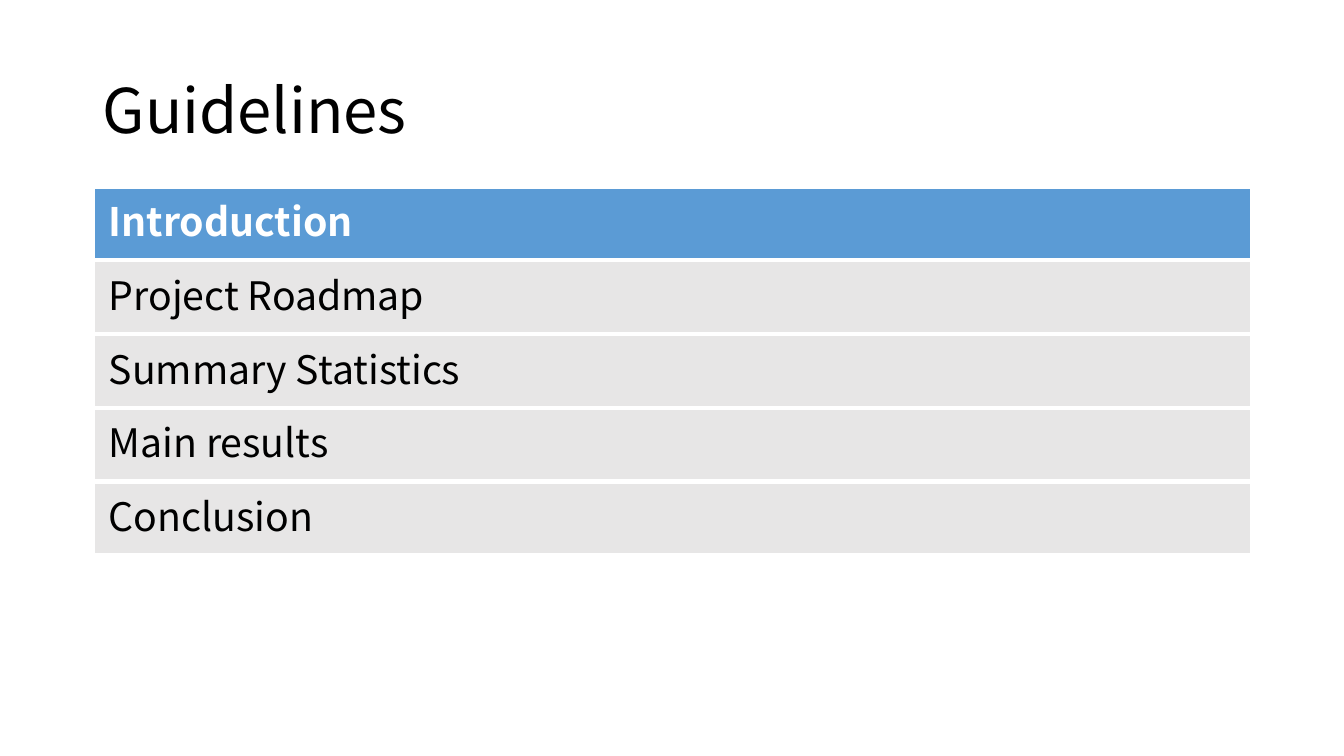
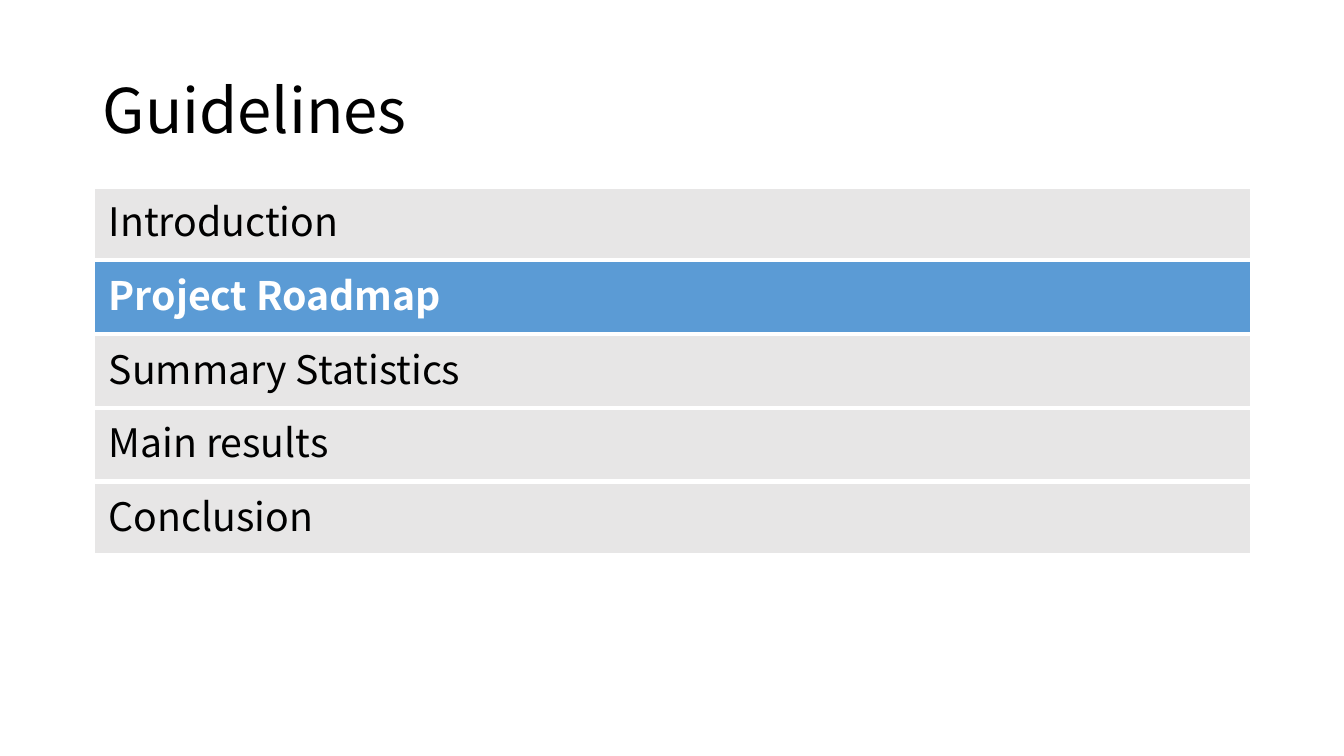
"""Build two agenda slides, each with its current topic highlighted."""
from pptx import Presentation
from pptx.dml.color import RGBColor as Color
from pptx.enum.shapes import MSO_SHAPE as Shape
from pptx.enum.text import MSO_ANCHOR as Anchor, PP_ALIGN as Align
from pptx.util import Inches, Pt

TITLE = "Guidelines"
TOPICS = ["Introduction", "Project Roadmap", "Summary Statistics",
          "Main results", "Conclusion"]
ACTIVE = ["Introduction", "Project Roadmap"]

BLUE = Color(0x5B, 0x9B, 0xD5)
GRAY = Color(0xE7, 0xE6, 0xE6)
WHITE = Color(0xFF, 0xFF, 0xFF)
BLACK = Color(0, 0, 0)
FONT = "Noto Sans CJK SC"

WIDE, HIGH = 13.33, 7.5
LEFT, SPAN = 0.92, 11.5
HEAD, TOP, BASE = 0.4, 1.85, 5.51
ROW = (BASE - TOP) / len(TOPICS)

FRAME = {"word_wrap": True, "vertical_anchor": Anchor.MIDDLE}
INSET = {"margin_left": Inches(0.16), "margin_top": Inches(0.16),
         "margin_right": 0, "margin_bottom": Inches(0.15)}
PARA = {"alignment": Align.LEFT, "line_spacing": 0.9}


def assign(obj, values):
    for name, value in values.items():
        setattr(obj, name, value)


def write(shape, text, size, color, bold=False, inset=None):
    frame = shape.text_frame
    assign(frame, FRAME | (inset or {}))
    para = frame.paragraphs[0]
    assign(para, PARA)
    run = para.add_run()
    run.text = text
    assign(run.font, {"name": FONT, "size": Pt(size), "bold": bold})
    run.font.color.rgb = color


def add_title(slide):
    box = slide.shapes.add_textbox(
        *map(Inches, (LEFT, HEAD, SPAN, TOP - HEAD)))
    write(box, TITLE, 44, BLACK)


def add_band(slide, row, topic, active):
    band = slide.shapes.add_shape(
        Shape.RECTANGLE, *map(Inches, (LEFT, TOP + row * ROW, SPAN, ROW)))
    band.shadow.inherit = False
    band.fill.solid()
    band.fill.fore_color.rgb = BLUE if active else GRAY
    band.line.color.rgb = WHITE
    band.line.width = Pt(3)
    write(band, topic, 28, WHITE if active else BLACK, active, INSET)


def main():
    deck = Presentation()
    assign(deck, {"slide_width": Inches(WIDE), "slide_height": Inches(HIGH)})
    for current in ACTIVE:
        slide = deck.slides.add_slide(deck.slide_layouts[6])
        add_title(slide)
        for row, topic in enumerate(TOPICS):
            add_band(slide, row, topic, topic == current)
    deck.save("out.pptx")


if __name__ == "__main__":
    main()
